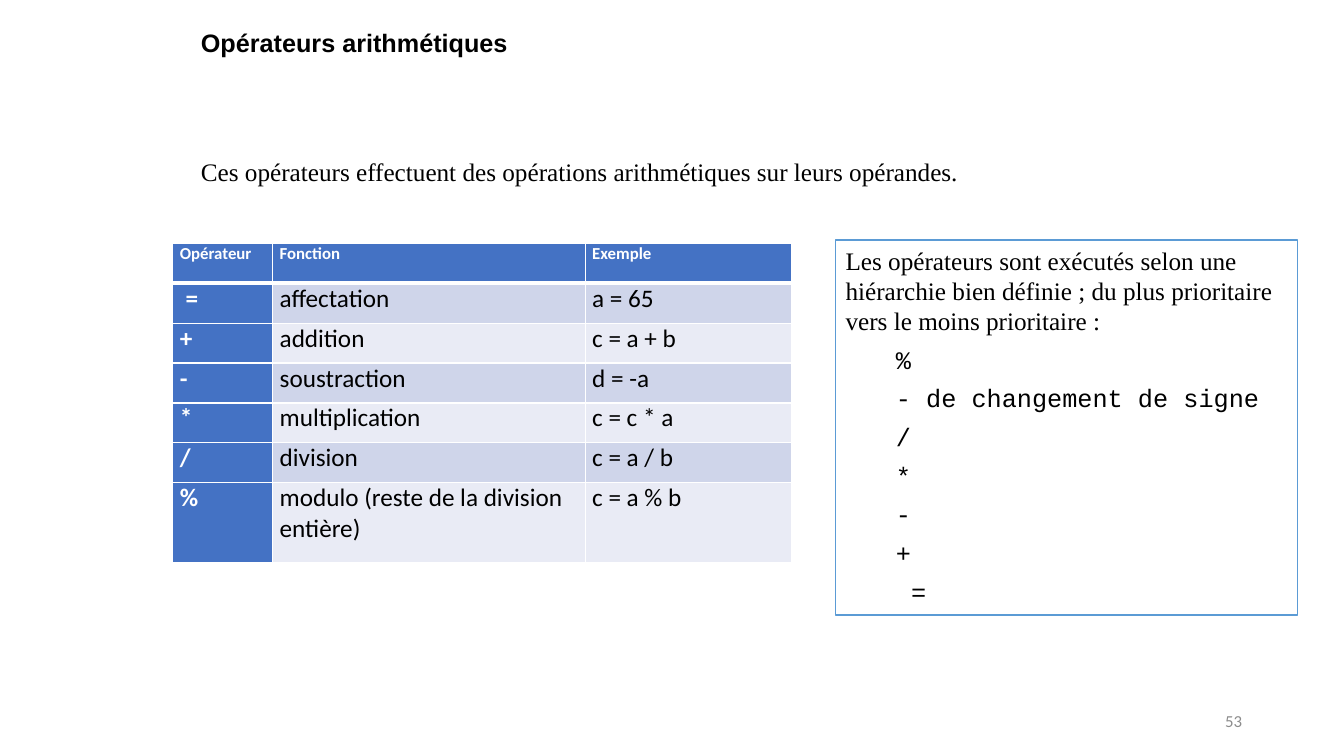
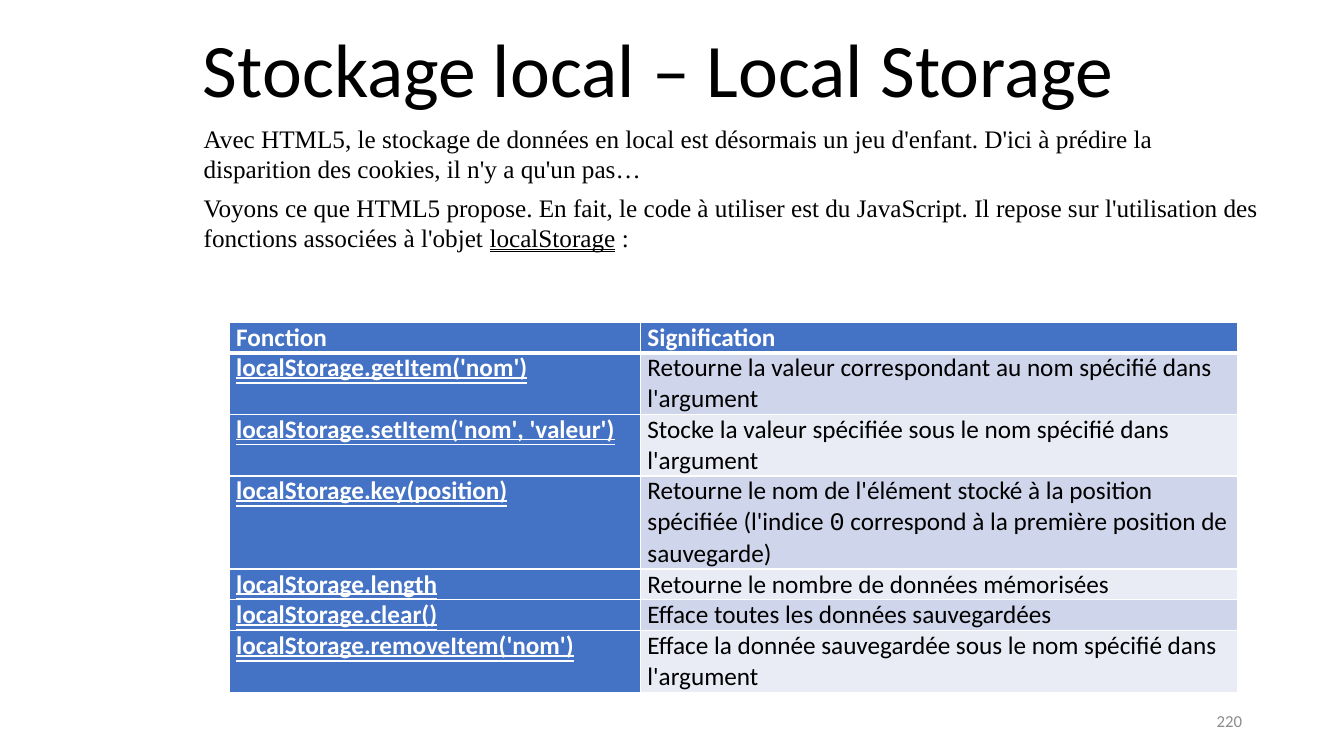
import pptx
import pptx.util
import pptx.dml.color
import pptx.enum.shapes
import pptx.enum.text
import pptx.oxml
import pptx.oxml.ns
from lxml import etree

Pt = pptx.util.Pt
RGB = pptx.dml.color.RGBColor
ALIGN = pptx.enum.text.PP_ALIGN
ANCHOR = pptx.enum.text.MSO_ANCHOR
qn = pptx.oxml.ns.qn

# Colours
BLACK = RGB(0x00, 0x00, 0x00)
WHITE = RGB(0xFF, 0xFF, 0xFF)
GREY = RGB(0x8C, 0x8C, 0x8C)
BLUE = RGB(0x44, 0x72, 0xC4)
EDGE = RGB(0x5B, 0x9B, 0xD5)
BANDS = (RGB(0xCF, 0xD5, 0xEA), RGB(0xE9, 0xEB, 0xF5))

# Fonts
SANS, HEAD, SERIF, MONO = "Calibri", "Arial", "Times New Roman", "Courier New"
DOUBLE = pptx.enum.text.MSO_UNDERLINE.DOUBLE_LINE


class Deck:
    """Style and current slide; every length is a percentage of the slide."""

    def __init__(self):
        self.prs = pptx.Presentation()
        self.prs.slide_width = pptx.util.Inches(13.33)
        self.prs.slide_height = pptx.util.Inches(7.5)

    def wide(self, share):
        return round(self.prs.slide_width * share / 100)

    def high(self, share):
        return round(self.prs.slide_height * share / 100)

    def area(self, x, y, w, h):
        return self.wide(x), self.high(y), self.wide(w), self.high(h)

    def start(self, number):
        """Add a slide with its number at the bottom right."""
        self.slide = self.prs.slides.add_slide(self.prs.slide_layouts[1])
        box = self.slide.shapes.add_textbox(*self.area(70.66, 92.67, 22.5, 5.33))
        frame = self.frame(box, ANCHOR.MIDDLE)
        self.text(frame.paragraphs[0], str(number), SANS, 12, GREY,
                  gap=0, align=ALIGN.RIGHT)

    def frame(self, shape, anchor=ANCHOR.TOP):
        frame = shape.text_frame
        frame.word_wrap = True
        frame.auto_size = pptx.enum.text.MSO_AUTO_SIZE.NONE
        frame.vertical_anchor = anchor
        return frame

    def text(self, para, text, face=SERIF, size=18, color=BLACK, bold=False,
             line=None, gap=3, align=ALIGN.LEFT, indent=0):
        """Fill a paragraph; text is a string or a list of (text, changes)."""
        para.alignment = align
        para.space_before = para.space_after = Pt(gap)
        font = para.font
        font.name, font.size, font.bold = face, Pt(size), bold
        font.color.rgb = color
        if line:
            font.underline = line
        for words, change in [(text, {})] if isinstance(text, str) else text:
            run = para.add_run()
            run.text = words
            if "face" in change:
                run.font.name = change["face"]
            if "line" in change:
                run.font.underline = change["line"]
        props = para._p.get_or_add_pPr()
        props.set("marL", str(pptx.util.Inches(indent)))
        props.set("indent", "0")
        props.insert_element_before(etree.Element(qn("a:buNone")),
                                    "a:tabLst", "a:defRPr", "a:extLst")

    def place(self, shape, area):
        shape.left, shape.top, shape.width, shape.height = self.area(*area)
        return self.frame(shape)

    def title(self, text, area, **style):
        frame = self.place(self.slide.shapes.title, area)
        self.text(frame.paragraphs[0], text, gap=0, **style)

    def fill(self, frame, items):
        """Add one paragraph for each (text, style) item."""
        for i, (text, style) in enumerate(items):
            para = frame.add_paragraph() if i else frame.paragraphs[0]
            self.text(para, text, **style)

    def body(self, texts, area):
        frame = self.place(self.slide.placeholders[1], area)
        self.fill(frame, [(text, {}) for text in texts])

    def panel(self, items, area):
        shape = self.slide.shapes.add_shape(
            pptx.enum.shapes.MSO_SHAPE.RECTANGLE, *self.area(*area))
        shape.shadow.inherit = False
        shape.fill.solid()
        shape.fill.fore_color.rgb = WHITE
        shape.line.color.rgb = EDGE
        shape.line.width = Pt(1)
        self.fill(self.frame(shape), items)

    def edges(self, cell, row):
        """White cell borders, thicker under the header."""
        props = cell._tc.get_or_add_tcPr()
        thick = {"T": 3 if row == 1 else 1, "B": 3 if row == 0 else 1}
        for side in "LRTB":
            line = etree.SubElement(props, qn("a:ln" + side),
                                    w=str(Pt(thick.get(side, 1))))
            paint = etree.SubElement(line, qn("a:solidFill"))
            etree.SubElement(paint, qn("a:srgbClr"), val=str(WHITE))

    def table(self, rows, x, y, cols, highs, top=18, line=None):
        """Header row, blue first column and banded cells."""
        area = self.area(x, y, sum(cols), sum(highs))
        grid = self.slide.shapes.add_table(len(rows), len(cols), *area).table
        grid.first_col = True
        for col, share in zip(grid.columns, cols):
            col.width = self.wide(share)
        for r, (row, share) in enumerate(zip(rows, highs)):
            grid.rows[r].height = self.high(share)
            for c, text in enumerate(row):
                cell = grid.cell(r, c)
                key = r == 0 or c == 0
                cell.margin_left = cell.margin_right = pptx.util.Inches(0.07)
                cell.margin_top = cell.margin_bottom = 0
                self.edges(cell, r)
                cell.fill.solid()
                cell.fill.fore_color.rgb = BLUE if key else BANDS[(r - 1) % 2]
                self.text(cell.text_frame.paragraphs[0], text, SANS,
                          18 if r else top, WHITE if key else BLACK, key,
                          line if r and c == 0 else None)


def maths(deck):
    deck.start(53)
    deck.title("Opérateurs arithmétiques", (14.2, 2.9, 80.3, 6),
               face=HEAD, bold=True)
    deck.body(["Ces opérateurs effectuent des opérations arithmétiques "
               "sur leurs opérandes."], (14.2, 20, 80.3, 6))

    # Operators
    deck.table([
        ("Opérateur", "Fonction", "Exemple"),
        (" =", "affectation", "a = 65"),
        ("+", "addition", "c = a + b"),
        ("-", "soustraction", "d = -a"),
        ("*", "multiplication", "c = c * a"),
        ("/", "division", "c = a / b"),
        ("%", "modulo (reste de la division entière)", "c = a % b"),
    ], 12.86, 32.2, (7.43, 23.25, 15.38), [5.28] * 6 + [10.56], top=12)

    # Order of priority
    order = ("%", "- de changement de signe", "/", "*", "-", "+", " =")
    code = {"face": MONO, "indent": 0.5}
    deck.panel([("Les opérateurs sont exécutés selon une hiérarchie bien "
                 "définie ; du plus prioritaire vers le moins prioritaire :", {})]
               + [(sign, code) for sign in order],
               (62.18, 31.75, 34.35, 49.6))


def store(deck):
    deck.start(220)
    deck.title("Stockage local – Local Storage", (14.35, 2.25, 80, 13.5),
               face=SANS, size=54)
    deck.body([
        "Avec HTML5, le stockage de données en local est désormais un jeu "
        "d'enfant. D'ici à prédire la disparition des cookies, il n'y a "
        "qu'un pas…",
        [("Voyons ce que HTML5 propose. En fait, le code à utiliser est du "
          "JavaScript. Il repose sur l'utilisation des fonctions associées "
          "à l'objet ", {}),
         ("localStorage", {"line": DOUBLE}), (" :", {})],
    ], (14.4, 15.6, 80, 18.7))

    # Functions, with the count of text lines in each row
    lines = (1, 2, 2, 3, 1, 1, 2)
    deck.table([
        ("Fonction", "Signification"),
        ("localStorage.getItem('nom')",
         "Retourne la valeur correspondant au nom spécifié dans l'argument"),
        ("localStorage.setItem('nom', 'valeur')",
         "Stocke la valeur spécifiée sous le nom spécifié dans l'argument"),
        ("localStorage.key(position)",
         [("Retourne le nom de l'élément stocké à la position spécifiée "
           "(l'indice ", {}), ("0", {"face": MONO}),
          (" correspond à la première position de sauvegarde)", {})]),
        ("localStorage.length", "Retourne le nombre de données mémorisées"),
        ("localStorage.clear()", "Efface toutes les données sauvegardées"),
        ("localStorage.removeItem('nom')",
         "Efface la donnée sauvegardée sous le nom spécifié dans l'argument"),
    ], 17.05, 42.6, (30.6, 44.4), [4 * n for n in lines], line=DOUBLE)


def main():
    deck = Deck()
    maths(deck)
    store(deck)
    deck.prs.save("out.pptx")


if __name__ == "__main__":
    main()
